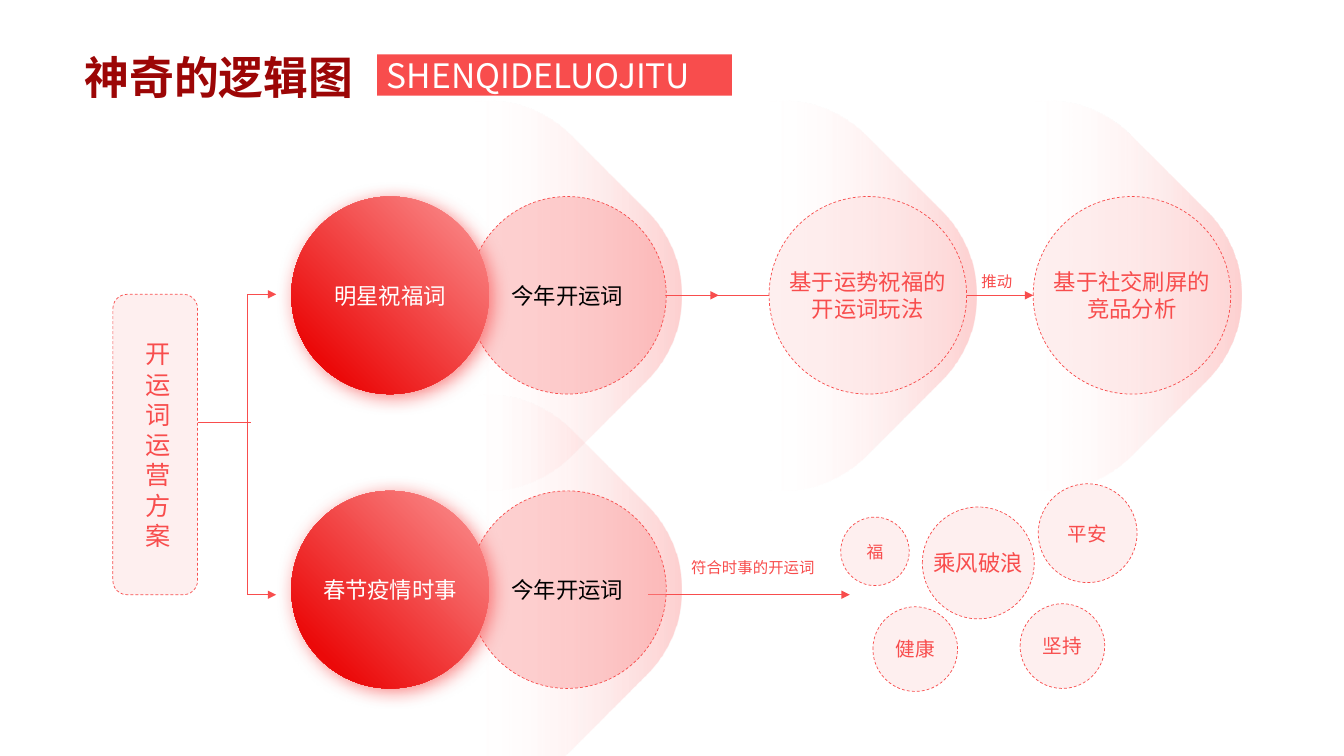
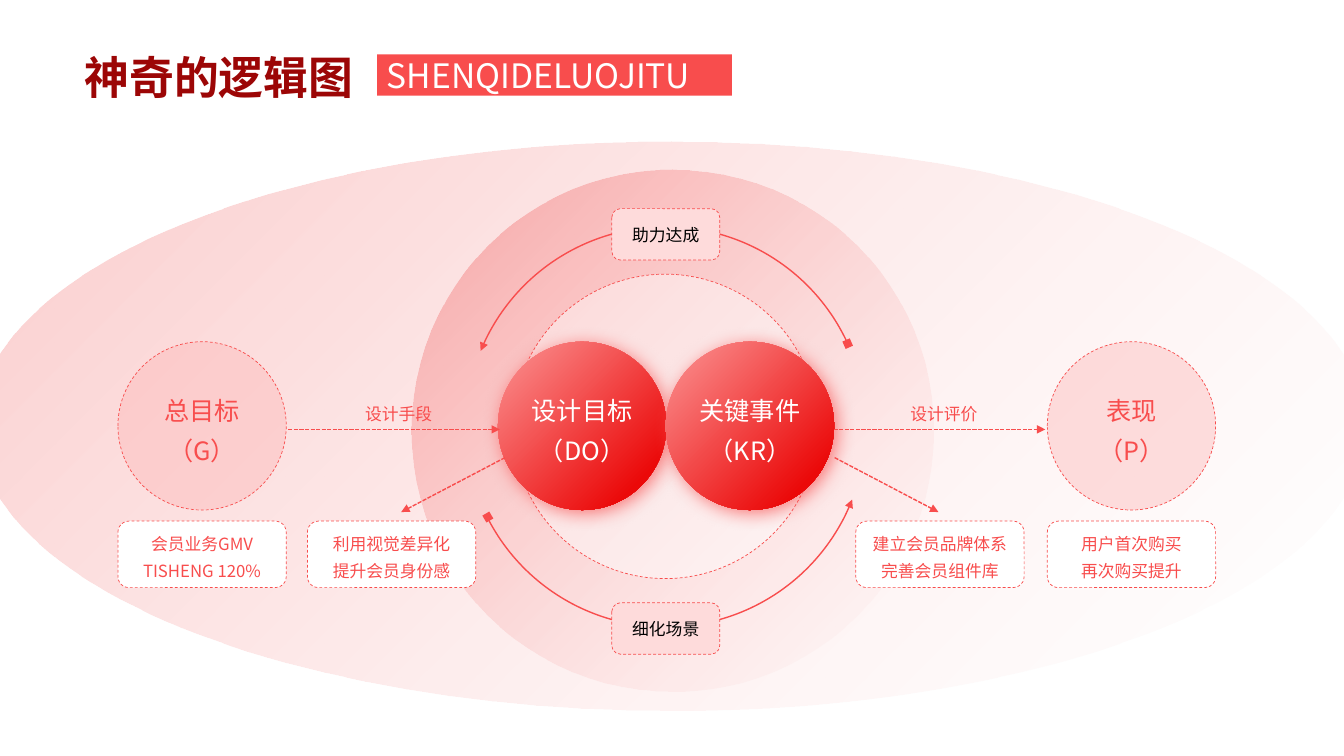
from pptx import Presentation
from pptx.dml.color import RGBColor
from pptx.enum.dml import MSO_LINE as DASH
from pptx.enum.shapes import MSO_CONNECTOR as CONN, MSO_SHAPE as GEO
from pptx.enum.text import MSO_ANCHOR as ANCHOR, PP_ALIGN as ALIGN
from pptx.oxml.ns import qn
from pptx.util import Inches, Pt
from lxml.etree import SubElement as sub

# Shared style: a grid of 0.1 inch columns and rows
COLS, ROWS = 133.33, 75
RED, DEEP, PINK, PALE, BLUSH = "F84D4D", "EB0909", "FB9494", "FEDBDB", "FCB8B8"
WINE, WHITE, BLACK = "9C0606", "FFFFFF", "000000"
JP, SC = "Noto Sans CJK JP", "Noto Sans CJK SC"
BALL = [(0, PINK, 100), (84, DEEP, 100)]
RAY = [(47, "FFF6F6", 0), (100, RED, 40)]
TITLE = [(0, WINE, 100), (100, RED, 100)]


def grid(n):
    return Inches(n / 10)


def rgb(code):
    return RGBColor.from_string(code)


def put(obj, vals):
    for name, val in vals.items():
        setattr(obj, name, val)


def fade(root, parts):
    """Set the opacity, in percent, of each colour in turn."""
    for node, part in zip(root.iter(qn("a:srgbClr")), parts):
        if part < 100:
            sub(node, qn("a:alpha"), val=str(part * 1000))


def blend(fill, stops, angle):
    """Gradient along a clockwise angle."""
    fill.gradient()
    fill.gradient_angle = (360 - angle) % 360
    for stop, (pos, code, _) in zip(fill.gradient_stops, stops):
        stop.color.rgb = rgb(code)
        stop.position = pos / 100


class Deck:
    def __init__(self):
        self.prs = Presentation()
        put(self.prs, {"slide_width": grid(COLS), "slide_height": grid(ROWS)})
        self.shapes = None

    def page(self):
        self.shapes = self.prs.slides.add_slide(self.prs.slide_layouts[6]).shapes

    def head(self):
        box = self.shapes.add_textbox(*map(grid, (7.4, 4.4, 34.7, 6.4)))
        self.text(box, "神奇的逻辑图", 32, None, SC, bold=True, align=ALIGN.LEFT, pad=1)
        bar = self.shape(GEO.RECTANGLE, 37.4, 5.4, 35.2, 4.1, RED)
        self.text(bar, "SHENQIDELUOJITU", 24, WHITE, align=ALIGN.LEFT, pad=1)

    def text(self, shape, words, size, code=RED, face=JP, bold=False,
             align=ALIGN.CENTER, pad=0, wrap=False, gap=None):
        frame = shape.text_frame
        put(frame, {"text": words, "word_wrap": wrap,
                    "vertical_anchor": ANCHOR.MIDDLE,
                    "margin_left": grid(pad), "margin_right": grid(pad),
                    "margin_top": 0, "margin_bottom": 0})
        for para in frame.paragraphs:
            put(para, {"alignment": align, "line_spacing": gap})
            for run in para.runs:
                put(run.font, {"size": Pt(size), "bold": bold, "name": face})
                if code:
                    run.font.color.rgb = rgb(code)
                else:
                    blend(run.font.fill, TITLE, 225)
                sub(run.font._element, qn("a:ea"), typeface=face)

    def label(self, x, y, w, h, words, size):
        box = self.shapes.add_textbox(*map(grid, (x, y, w, h)))
        self.text(box, words, size)

    def shape(self, geo, x, y, w, h, fill=None, alpha=100, angle=0, edge=False, turn=0):
        """A list as fill is a gradient, a string a plain colour."""
        item = self.shapes.add_shape(geo, *map(grid, (x, y, w, h)))
        item.shadow.inherit = False
        item.rotation = turn
        props = item._element.spPr
        if isinstance(fill, list):
            blend(item.fill, fill, angle)
            fade(props, [stop[2] for stop in fill])
        elif fill:
            item.fill.solid()
            item.fill.fore_color.rgb = rgb(fill)
            fade(props, [alpha])
        else:
            item.fill.background()
        if edge:
            self.pen(item.line, 0.5, DASH.DASH)
        else:
            item.line.fill.background()
        return item

    def pen(self, line, width, dash=None):
        line.color.rgb = rgb(RED)
        put(line, {"width": Pt(width), "dash_style": dash})

    def disc(self, x, y, d, fill, alpha=100, angle=0, edge=True):
        """Circle around a centre."""
        return self.shape(GEO.OVAL, x - d / 2, y - d / 2, d, d, fill, alpha, angle, edge)

    def ball(self, x, y, d, angle):
        """Glossy circle with a soft red shadow."""
        item = self.disc(x, y, d, BALL, angle=angle, edge=False)
        glow = sub(item._element.spPr.find(qn("a:effectLst")), qn("a:outerShdw"),
                   blurRad=str(Pt(13)), dist=str(Pt(3)), dir=str(45 * 60000),
                   algn="tl", rotWithShape="0")
        sub(glow, qn("a:srgbClr"), val=RED)
        fade(glow, [70])
        return item

    def card(self, x, y, w, h, fill, alpha=100):
        return self.shape(GEO.ROUNDED_RECTANGLE, x, y, w, h, fill, alpha, edge=True)

    def ray(self, x, y, d=34.3):
        item = self.shape(GEO.ROUNDED_RECTANGLE, x - d / 2, y - d / 2, d, d, RAY,
                          angle=135, turn=225)
        item.adjustments[0] = 0.346

    def line(self, x1, y1, x2, y2, width=1, tip=True, dash=None):
        item = self.shapes.add_connector(CONN.STRAIGHT, *map(grid, (x1, y1, x2, y2)))
        self.pen(item.line, width, dash)
        props = item._element.spPr
        if tip:
            sub(props.find(qn("a:ln")), qn("a:tailEnd"), type="triangle")
        sub(props, qn("a:effectLst"))

    def arc(self, x, y, d, start, end):
        item = self.shape(GEO.ARC, x - d / 2, y - d / 2, d, d)
        for i, deg in enumerate((start, end)):
            item.adjustments[i] = deg * 0.6
        self.pen(item.line, 1)
        sub(item._element.spPr.find(qn("a:ln")), qn("a:headEnd"), type="triangle")


def flow(deck):
    deck.page()
    top, low, size = 29.3, 58.5, 19.6
    # Light rays
    for x, y in ((103.85, top), (77.55, top), (48.25, low), (48.25, top)):
        deck.ray(x, y)
    # Results of the upper row
    for x, words in ((112.3, "基于社交刷屏的\n竞品分析"), (86.1, "基于运势祝福的\n开运词玩法")):
        deck.text(deck.disc(x, top, size, PALE, 43), words, 16)
    # Arrows and their labels
    deck.line(95.9, top, 102.5, top)
    deck.line(66, top, 71.3, top)
    deck.line(71, top, 76.3, top, tip=False)
    deck.line(64.3, 59, 84.3, 59)
    deck.label(94.3, 26, 9.2, 3.8, "推动", 11)
    deck.label(67.3, 54.4, 14.8, 3.8, "符合时事的开运词", 11)
    # Cluster of wishes
    for x, y, d, words, pts in ((107.9, 52.9, 9.8, "平安", 14),
                                (105.4, 64.1, 8.4, "坚持", 14),
                                (90.8, 64.4, 8.4, "健康", 14),
                                (97.05, 55.85, 11.1, "乘风破浪", 16),
                                (86.8, 54.7, 6.8, "福", 12)):
        deck.text(deck.disc(x, y, d, PALE, 43), words, pts)
    # Plan and its bracket
    deck.line(24.6, 29.2, 24.6, 59, 0.75, tip=False)
    for y in (29.2, 59):
        deck.line(24.6, y, 27.4, y, 0.75)
    deck.line(19.6, 41.9, 24.9, 41.9, tip=False)
    plan = deck.card(11.2, 29.2, 8.4, 29.8, PALE, 43)
    deck.text(plan, "开运词运营方案", 18, pad=2.8, wrap=True)
    # Overlapping pairs
    for y, words in ((low, "春节疫情时事"), (top, "明星祝福词")):
        deck.text(deck.disc(56.3, y, size, PINK, 43), "今年开运词", 16, BLACK, SC)
        deck.text(deck.ball(38.7, y, size, 135), words, 16, WHITE, SC)
    deck.head()


def cycle(deck):
    deck.page()
    mid, size = 42.25, 16.7
    # Backdrop
    deck.shape(GEO.OVAL, -2.2, 14, 137.7, 56.5, [(0, PINK, 0), (100, DEEP, 21)], angle=225)
    deck.disc(66.7, 42.7, 51.8, [(0, PINK, 0), (100, DEEP, 27)], angle=225, edge=False)
    deck.disc(66, 42.3, 30.2, WHITE, 43)
    # Centre pair
    for x, words in ((57.75, "设计目标\n（DO）"), (74.4, "关键事件\n（KR）")):
        deck.text(deck.ball(x, mid, size, 45), words, 18, WHITE, SC, gap=1.3)
    # Loop: arc, square start and caption
    for start, end, x, y, turn, top, words in (
            (202.3, 334.7, 83.7, 33.7, 336.2, 20.7, "助力达成"),
            (21.3, 152.1, 48, 50.9, 329.5, 59.8, "细化场景")):
        deck.arc(66.05, 42.35, 39.7, start, end)
        deck.shape(GEO.RECTANGLE, x, y, 0.8, 0.8, RED, turn=turn)
        deck.text(deck.card(60.7, top, 10.7, 5.1, PALE), words, 12, BLACK)
    # Dotted arrows
    for x, words in ((82.7, "设计评价"), (28.6, "设计手段")):
        deck.line(x, 42.6, x + 21, 42.6, dash=DASH.SQUARE_DOT)
        deck.label(x + 7.3, 39.8, 7.3, 2.6, words, 12)
    for x1, x2 in ((50.1, 39.8), (82.8, 93.1)):
        deck.line(x1, 45.4, x2, 50.8, dash=DASH.SQUARE_DOT)
    # Outer goals
    for x, words in ((112.25, "表现\n（P）"), (20.05, "总目标\n（G）")):
        deck.text(deck.disc(x, mid, size, BLUSH, 43), words, 18, gap=1.3)
    # Detail cards
    for x, words in ((11.7, "会员业务GMV\nTISHENG 120%"),
                     (30.5, "利用视觉差异化\n提升会员身份感"),
                     (84.9, "建立会员品牌体系\n完善会员组件库"),
                     (103.9, "用户首次购买\n再次购买提升")):
        deck.text(deck.card(x, 51.7, size, 6.6, WHITE), words, 12, gap=1.3)
    deck.head()


def main():
    deck = Deck()
    flow(deck)
    cycle(deck)
    deck.prs.save("out.pptx")


if __name__ == "__main__":
    main()
